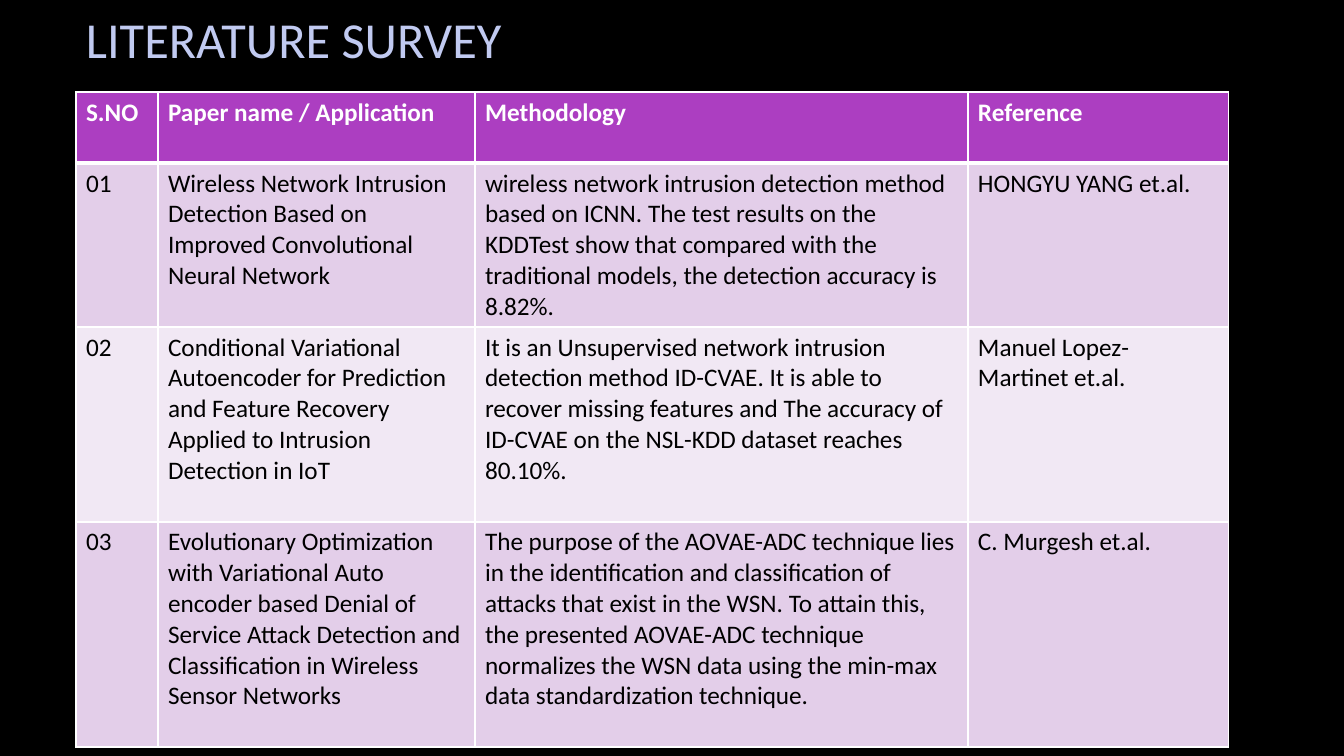
from lxml import etree
from pptx import Presentation
from pptx import util as u
from pptx.dml.color import RGBColor
from pptx.enum import text
from pptx.oxml import ns

PX = 914400 / 100.8
FONT = "Calibri"
BLACK = RGBColor(0x00, 0x00, 0x00)
WHITE = RGBColor(0xFF, 0xFF, 0xFF)
LAVENDER = RGBColor(0xC1, 0xCA, 0xF1)
PURPLE = RGBColor(0xAC, 0x3E, 0xC1)
BAND_DARK = RGBColor(0xE3, 0xCE, 0xE9)
BAND_LIGHT = RGBColor(0xF1, 0xE8, 0xF4)

COLUMN_WIDTHS = [82, 317, 493, 261]
ROW_HEIGHTS = [71, 164, 195, 225]
SURVEY = [
    ("S.NO", "Paper name / Application", "Methodology", "Reference"),
    ("01",
     "Wireless Network Intrusion Detection Based on Improved Convolutional Neural Network",
     "wireless network intrusion detection method based on ICNN. The test results on the "
     "KDDTest show that compared with the traditional models, the detection accuracy is 8.82%.",
     "HONGYU YANG et.al."),
    ("02",
     "Conditional Variational Autoencoder for Prediction and Feature Recovery "
     "Applied to Intrusion Detection in IoT",
     "It is an Unsupervised network intrusion detection method ID-CVAE. It is able to recover "
     "missing features and The accuracy of ID-CVAE on the NSL-KDD dataset reaches 80.10%.",
     "Manuel Lopez-Martinet et.al."),
    ("03",
     "Evolutionary Optimization with Variational Auto encoder based Denial of Service "
     "Attack Detection and Classification in Wireless Sensor Networks",
     "The purpose of the AOVAE-ADC technique lies in the identification and classification of "
     "attacks that exist in the WSN. To attain this, the presented AOVAE-ADC technique "
     "normalizes the WSN data using the min-max data standardization technique.",
     "C. Murgesh et.al."),
]


def px(length):
    return u.Emu(round(length * PX))


def write(frame, content, size=18, color=BLACK, bold=False):
    frame.word_wrap = True
    run = frame.paragraphs[0].add_run()
    run.text = content
    run.font.name = FONT
    run.font.size = u.Pt(size)
    run.font.bold = bold
    run.font.color.rgb = color


def add_title(slide, content, left, top, width, height):
    shape = slide.shapes.add_textbox(px(left), px(top), px(width), px(height))
    shape.text_frame.vertical_anchor = text.MSO_ANCHOR.MIDDLE
    write(shape.text_frame, content, size=36, color=LAVENDER)


def set_borders(cell, color, **widths):
    properties = cell._tc.get_or_add_tcPr()
    for index, side in enumerate("LRTB"):
        line = etree.Element(ns.qn(f"a:ln{side}"), w=str(u.Pt(widths.get(side, 1))))
        fill = etree.SubElement(line, ns.qn("a:solidFill"))
        etree.SubElement(fill, ns.qn("a:srgbClr"), val=str(color))
        properties.insert(index, line)


def add_survey_table(slide, rows, left, top):
    table = slide.shapes.add_table(
        len(rows), len(COLUMN_WIDTHS), px(left), px(top),
        px(sum(COLUMN_WIDTHS)), px(sum(ROW_HEIGHTS))).table
    for column, width in zip(table.columns, COLUMN_WIDTHS):
        column.width = px(width)
    for row_index, (row, height) in enumerate(zip(rows, ROW_HEIGHTS)):
        table.rows[row_index].height = px(height)
        header = row_index == 0
        band = BAND_DARK if row_index % 2 else BAND_LIGHT
        for column_index, content in enumerate(row):
            cell = table.cell(row_index, column_index)
            cell.fill.solid()
            cell.fill.fore_color.rgb = PURPLE if header else band
            set_borders(cell, WHITE, T=3 if row_index == 1 else 1, B=3 if header else 1)
            write(cell.text_frame, content, color=WHITE if header else BLACK, bold=header)


def main():
    presentation = Presentation()
    presentation.slide_width = px(1344)
    presentation.slide_height = px(756)
    slide = presentation.slides.add_slide(presentation.slide_layouts[6])
    slide.background.fill.solid()
    slide.background.fill.fore_color.rgb = BLACK
    add_title(slide, "LITERATURE SURVEY", 76, -25, 1117, 127)
    add_survey_table(slide, SURVEY, 76, 92)
    presentation.save("out.pptx")


if __name__ == "__main__":
    main()
